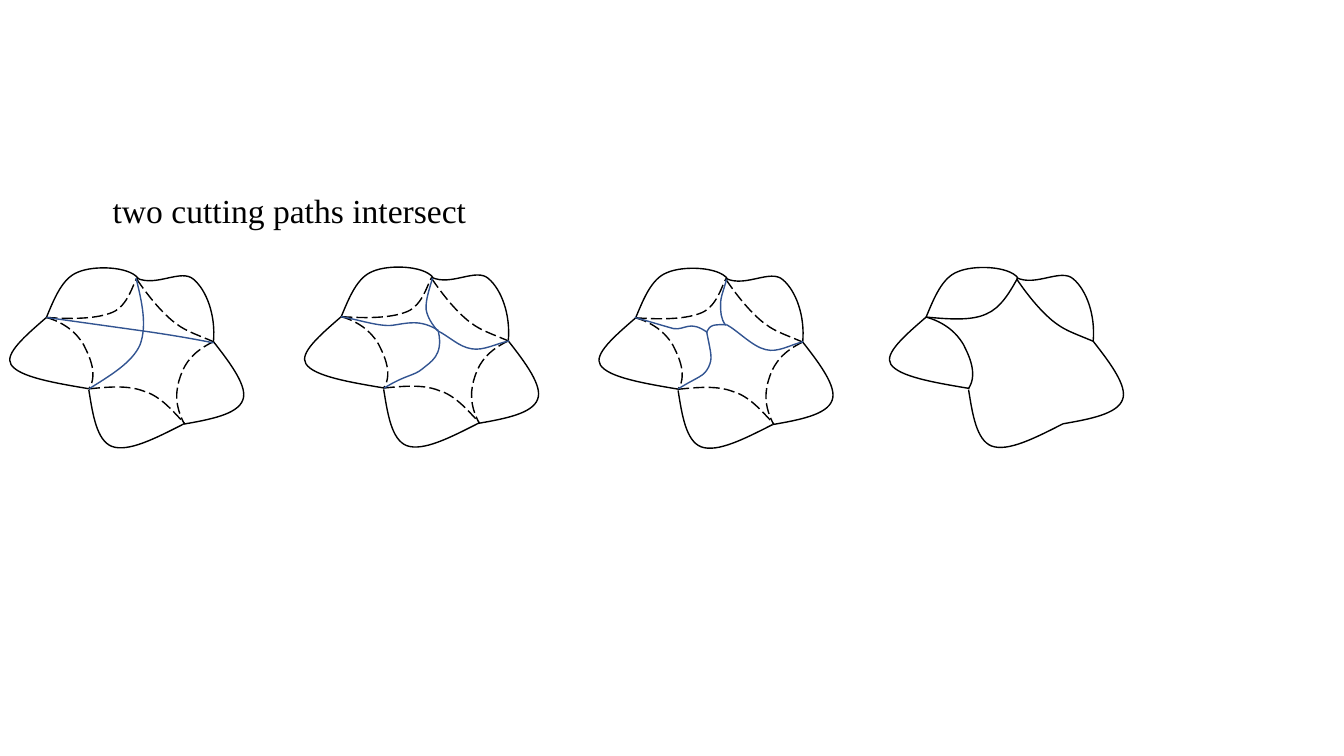
"""Draw four stages of a surface whose two cutting paths intersect."""
from lxml import etree
from pptx import Presentation
from pptx import util as u
from pptx.dml.color import RGBColor
from pptx.enum import dml, text
from pptx.oxml.ns import qn

BLACK = RGBColor(0x00, 0x00, 0x00)
BLUE = RGBColor(0x32, 0x54, 0x91)

deck = Presentation()
deck.slide_width, deck.slide_height = u.Cm(33.87), u.Cm(19.05)
slide = deck.slides.add_slide(deck.slide_layouts[6])


def add_curve(knots, dx, dy, color=BLACK, dash=None):
    """Draw a chain of cubic curves: a start, then three points per curve."""
    points = [(u.Cm(x + dx), u.Cm(y + dy)) for x, y in knots]
    trace = []
    for first in range(0, len(points) - 1, 3):
        for step in range(1, 25):
            t = step / 24
            weights = ((1 - t) ** 3, 3 * t * (1 - t) ** 2, 3 * t ** 2 * (1 - t), t ** 3)
            corners = zip(*points[first:first + 4])
            trace.append(tuple(round(sum(w * c for w, c in zip(weights, axis))) for axis in corners))
    builder = slide.shapes.build_freeform(*points[0])
    builder.add_line_segments(trace, close=False)
    curve = builder.convert_to_shape()
    outline_path = next(curve.element.iter(qn("a:path")))
    for segment in outline_path.findall(qn("a:lnTo")):
        outline_path.remove(segment)
    for first in range(1, len(points), 3):
        bezier = etree.SubElement(outline_path, qn("a:cubicBezTo"))
        for x, y in points[first:first + 3]:
            etree.SubElement(bezier, qn("a:pt"), x=str(x - curve.left), y=str(y - curve.top))
    curve.shadow.inherit = False
    curve.fill.background()
    curve.line.color.rgb = color
    curve.line.width = u.Pt(1)
    if dash:
        curve.line.dash_style = dash


def add_text(words, left, top, width, height, size=24, font="Times New Roman", color=BLACK):
    """Add a one-line text box that fits its words."""
    box = slide.shapes.add_textbox(u.Cm(left), u.Cm(top), u.Cm(width), u.Cm(height))
    box.text_frame.word_wrap = False
    box.text_frame.auto_size = text.MSO_AUTO_SIZE.SHAPE_TO_FIT_TEXT
    run = box.text_frame.paragraphs[0].add_run()
    run.text = words
    run.font.size, run.font.name = u.Pt(size), font
    run.font.color.rgb = color


boundary = [
    [(1.17, 8), (1.37, 7.52), (1.57, 7.01), (1.96, 6.86), (2.36, 6.68), (3.25, 6.71), (3.48, 7.01)],
    [(3.45, 7.01), (3.94, 7.24), (4.57, 6.76), (4.88, 7.04), (5.21, 7.32), (5.44, 7.95), (5.38, 8.61)],
    [(5.38, 8.61), (5.82, 9.17), (6.25, 9.75), (6.12, 10.08), (5.99, 10.44), (5.31, 10.57), (4.62, 10.69)],
    [(4.62, 10.69), (3.91, 11.05), (3.23, 11.4), (2.82, 11.25), (2.44, 11.1), (2.34, 10.46), (2.24, 9.83)],
    [(2.26, 9.8), (1.37, 9.65), (0.48, 9.5), (0.28, 9.19), (0.1, 8.92), (0.64, 8.46), (1.17, 8)],
]
seam_top = [(1.17, 8), (1.88, 8.05), (2.46, 8.03), (2.84, 7.87), (3.23, 7.7), (3.35, 7.16), (3.45, 7.01)]
seam_top_cut = [(1.17, 8), (1.73, 8.05), (2.31, 8.1), (2.69, 7.92), (3.05, 7.77), (3.28, 7.37), (3.48, 7.01)]
seam_right = [(3.45, 7.04), (3.71, 7.42), (4.01, 7.8), (4.34, 8.08), (4.65, 8.33), (4.78, 8.36), (5.38, 8.61)]
seam_left = [(1.17, 8), (1.8, 8.18), (2.03, 8.56), (2.11, 8.69), (2.18, 8.84), (2.51, 9.4), (2.24, 9.8)]
seam_bottom = [(2.24, 9.8), (2.72, 9.75), (3.23, 9.7), (3.63, 9.86), (4.04, 9.98), (4.34, 10.34), (4.65, 10.67)]
seam_low_right = [(5.38, 8.61), (4.9, 8.84), (4.67, 9.12), (4.55, 9.47), (4.42, 9.83), (4.39, 10.21), (4.65, 10.69)]
seams = [seam_top, seam_right, seam_left, seam_bottom, seam_low_right]

crossing_paths = [
    [(1.17, 8), (1.96, 8.11), (2.74, 8.22), (3.53, 8.33), (4.24, 8.43), (4.83, 8.53), (5.38, 8.64)],
    [(3.43, 7.01), (3.58, 7.62), (3.71, 8.2), (3.53, 8.69), (3.33, 9.14), (2.77, 9.47), (2.24, 9.8)],
]
joined_paths = [
    [(1.16, 8), (1.59, 8.07), (2.1, 8.25), (2.45, 8.22), (2.81, 8.17), (3.16, 8.05), (3.62, 8.35)],
    [(3.62, 8.38), (3.75, 8.99), (3.42, 9.14), (3.21, 9.32), (3.01, 9.49), (2.78, 9.47), (2.25, 9.8)],
    [(5.4, 8.61), (5.07, 8.68), (4.76, 8.86), (4.46, 8.81), (4.13, 8.76), (3.9, 8.5), (3.59, 8.35)],
    [(3.47, 7.03), (3.39, 7.31), (3.29, 7.59), (3.31, 7.82), (3.34, 8.02), (3.47, 8.2), (3.59, 8.35)],
]
split_paths = [
    [(1.15, 7.99), (1.47, 8.08), (1.8, 8.18), (2.12, 8.27), (2.42, 8.32), (2.52, 8.04), (2.98, 8.37)],
    [(2.96, 8.35), (3.08, 8.96), (3.11, 9.01), (3.01, 9.24), (2.88, 9.49), (2.78, 9.46), (2.24, 9.79)],
    [(5.39, 8.6), (5.06, 8.68), (4.76, 8.88), (4.45, 8.8), (4.12, 8.73), (3.74, 8.32), (3.46, 8.17)],
    [(3.46, 7.03), (3.39, 7.31), (3.31, 7.46), (3.31, 7.66), (3.31, 7.84), (3.31, 8.02), (3.44, 8.19)],
    [(2.96, 8.35), (3.01, 8.27), (3.03, 8.22), (3.13, 8.19), (3.21, 8.17), (3.34, 8.17), (3.46, 8.17)],
]

stages = [
    (0, 0, seams, dml.MSO_LINE.LONG_DASH, crossing_paths),
    (7.43, -0.02, seams, dml.MSO_LINE.LONG_DASH, joined_paths),
    (14.85, 0.01, seams, dml.MSO_LINE.LONG_DASH, split_paths),
    (22.17, -0.01, [seam_top_cut, seam_right, seam_left], None, []),
]
for dx, dy, stage_seams, seam_dash, cutting_paths in stages:
    for edge in boundary:
        add_curve(edge, dx, dy)
    for seam in stage_seams:
        add_curve(seam, dx, dy, dash=seam_dash)
    for cut in cutting_paths:
        add_curve(cut, dx, dy, color=BLUE)

add_text("two cutting paths intersect", left=2.59, top=4.67, width=9.5, height=1.27)

deck.save("out.pptx")
